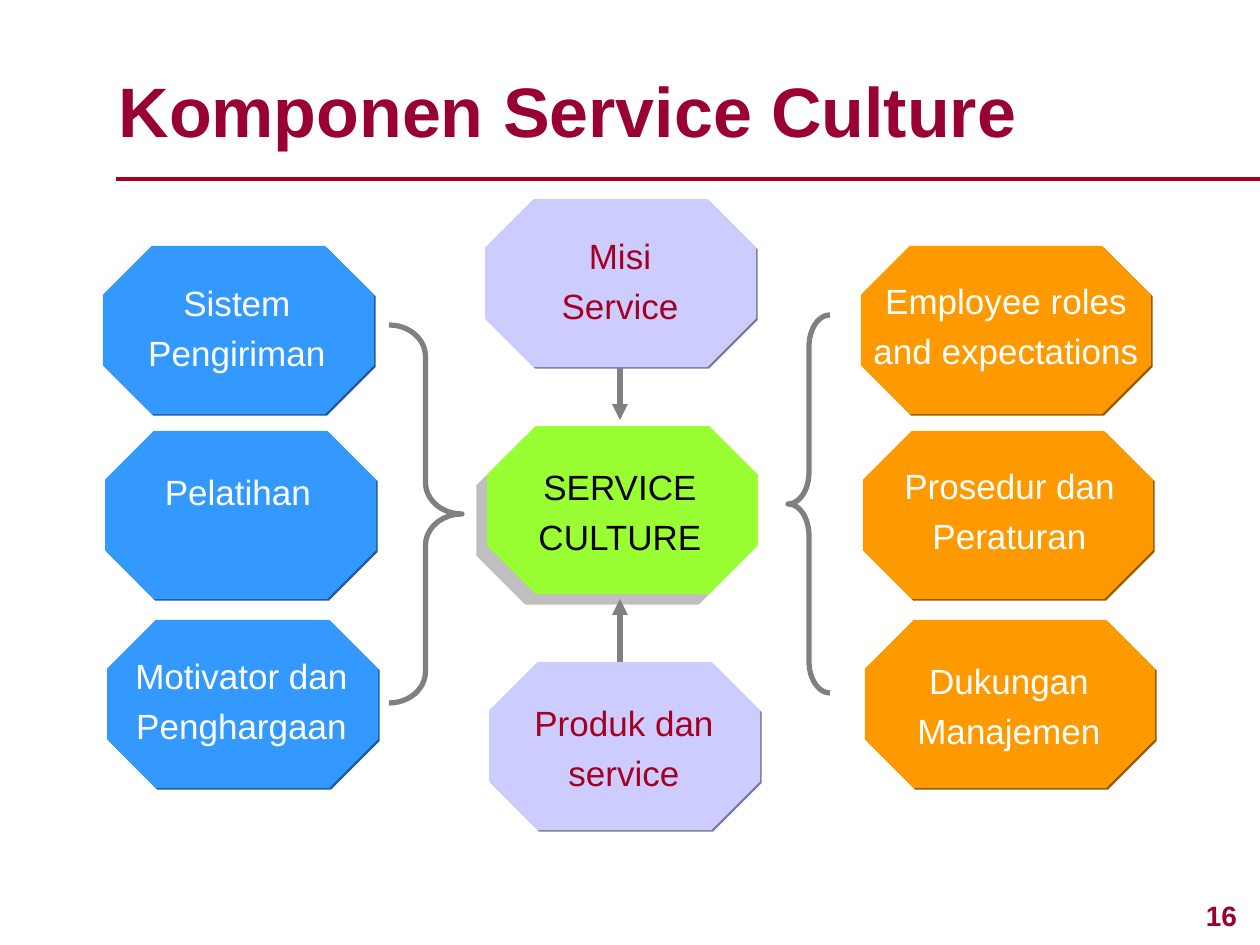
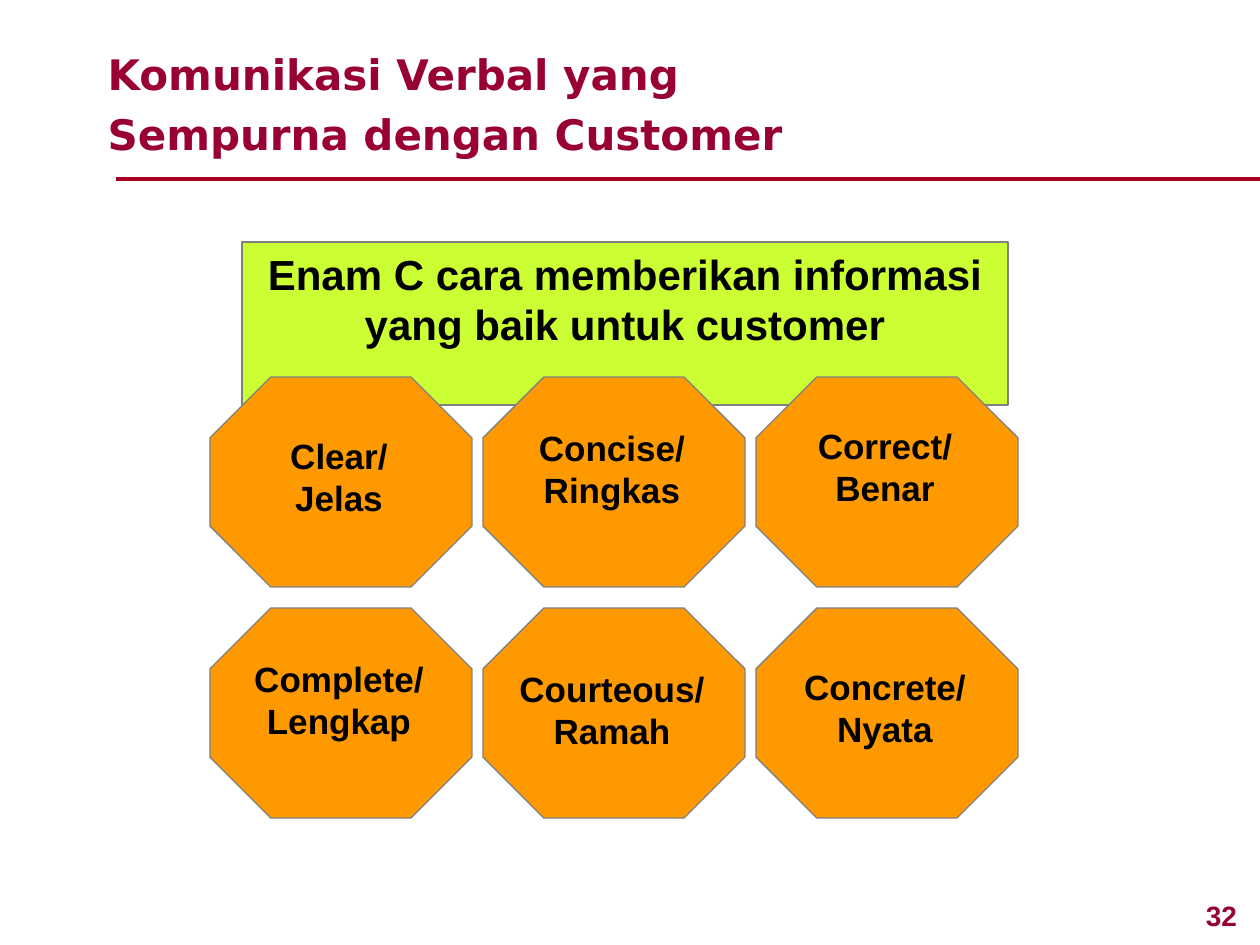
from lxml.etree import SubElement
from pptx import Presentation
from pptx.dml.color import RGBColor
from pptx.enum.shapes import MSO_CONNECTOR, MSO_SHAPE
from pptx.enum.text import MSO_ANCHOR, MSO_AUTO_SIZE, PP_ALIGN
from pptx.oxml.ns import qn
from pptx.util import Pt

EMU_PER_PX = 914400 / 126
SLIDE_WIDTH, SLIDE_HEIGHT = 1260, 945

MAROON = RGBColor(0x99, 0x00, 0x33)
CRIMSON = RGBColor(0xA5, 0x00, 0x21)
BLUE = RGBColor(0x33, 0x99, 0xFF)
DARK_BLUE = RGBColor(0x1F, 0x5C, 0x99)
ORANGE = RGBColor(0xFF, 0x99, 0x00)
DARK_ORANGE = RGBColor(0x99, 0x5C, 0x00)
LILAC = RGBColor(0xCC, 0xCC, 0xFF)
DARK_LILAC = RGBColor(0x7A, 0x7A, 0x99)
GREEN = RGBColor(0x99, 0xFF, 0x33)
LIME = RGBColor(0xCC, 0xFF, 0x33)
GRAY = RGBColor(0x80, 0x80, 0x80)
WHITE = RGBColor(0xFF, 0xFF, 0xFF)
BLACK = RGBColor(0x00, 0x00, 0x00)

BODY_FONT = "Arial"
OCTAGON_CUT = 0.29

# Shadows: colour, opacity in percent, distance in points, direction in degrees
BLUE_EDGE = (DARK_BLUE, 100, 1.4, 45)
ORANGE_EDGE = (DARK_ORANGE, 100, 1.4, 45)
LILAC_EDGE = (DARK_LILAC, 100, 1.4, 45)
CORE_SHADOW = (GRAY, 50, 8.5, 135)

# Columns: left, octagon width, text colour, then rows of
# (octagon top, fill, shadow, text, label left, label top, label width)
COMPONENT_HEIGHT = 168
COLUMN_DRIFT = 2
COMPONENT_COLUMNS = [
    (103, 271, WHITE, [
        (246, BLUE, BLUE_EDGE, "Sistem Pengiriman", 116, 267, 242),
        (431, BLUE, BLUE_EDGE, "Pelatihan", 132, 456, 212),
        (620, BLUE, BLUE_EDGE, "Motivator dan Penghargaan", 105, 640, 273),
    ]),
    (861, 290, WHITE, [
        (246, ORANGE, ORANGE_EDGE, "Employee roles and expectations", 859, 265, 294),
        (431, ORANGE, ORANGE_EDGE, "Prosedur dan Peraturan", 879, 450, 261),
        (620, ORANGE, ORANGE_EDGE, "Dukungan Manajemen", 863, 645, 292),
    ]),
    (485, 271, CRIMSON, [
        (199, LILAC, LILAC_EDGE, "Misi Service", 514, 220, 212),
        (426, GREEN, CORE_SHADOW, "SERVICE CULTURE", 514, 451, 212),
        (662, LILAC, LILAC_EDGE, "Produk dan service", 498, 687, 252),
    ]),
]
# Braces: shape, box, curve height as a share of the brace width
BRACES = [
    (MSO_SHAPE.RIGHT_BRACE, (389, 325, 73, 378), 0.43),
    (MSO_SHAPE.LEFT_BRACE, (788, 315, 42, 378), 0.75),
]
ARROW_X = 620
ARROWS = [(662, 599), (368, 420)]

BANNER = "Enam C cara memberikan informasi yang baik untuk customer"
BANNER_BOX = (242, 242, 766, 163)
GRID_LEFT, GRID_TOP, STEP_X, STEP_Y = 210, 377, 273, 231
CELL_WIDTH, CELL_HEIGHT = 262, 210
# Each row: two lines of text and the label top
SIX_C = [
    [("Clear/\nJelas", 428), ("Concise/\nRingkas", 420), ("Correct/\nBenar", 418)],
    [("Complete/\nLengkap", 651), ("Courteous/\nRamah", 661), ("Concrete/\nNyata", 659)],
]


def px(*lengths):
    return [round(length * EMU_PER_PX) for length in lengths]


def write(shape, text, size, color, bold=False, align=PP_ALIGN.CENTER,
          font=BODY_FONT, spacing=1.0):
    frame = shape.text_frame
    frame.text = text
    frame.word_wrap = True
    frame.auto_size = MSO_AUTO_SIZE.NONE
    frame.vertical_anchor = MSO_ANCHOR.TOP
    for para in frame.paragraphs:
        para.alignment = align
        para.line_spacing = spacing
        for span in para.runs:
            span.font.name = font
            span.font.size = Pt(size)
            span.font.bold = bold
            span.font.color.rgb = color


def add_label(page, box, text, size, color, **style):
    write(page.shapes.add_textbox(*px(*box)), text, size, color, **style)


def add_filled(page, kind, box, fill, line=None):
    shape = page.shapes.add_shape(kind, *px(*box))
    shape.shadow.inherit = False
    shape.fill.solid()
    shape.fill.fore_color.rgb = fill
    if line is None:
        shape.line.fill.background()
    else:
        shape.line.color.rgb = line
        shape.line.width = Pt(0.75)
    return shape


def add_octagon(page, box, fill, line=None, shadow=None):
    octagon = add_filled(page, MSO_SHAPE.OCTAGON, box, fill, line)
    octagon.adjustments[0] = OCTAGON_CUT
    if shadow:
        color, opacity, distance, direction = shadow
        effects = octagon._element.spPr.find(qn("a:effectLst"))
        outer = SubElement(effects, qn("a:outerShdw"), dist=str(Pt(distance)),
                           dir=str(direction * 60000), algn="ctr", rotWithShape="0")
        tint = SubElement(outer, qn("a:srgbClr"), val=str(color))
        SubElement(tint, qn("a:alpha"), val=str(opacity * 1000))


def add_line(page, start, end, color, width, arrow=False):
    line = page.shapes.add_connector(MSO_CONNECTOR.STRAIGHT, *px(*start, *end))
    line.line.color.rgb = color
    line.line.width = Pt(width)
    if arrow:
        SubElement(line.line._get_or_add_ln(), qn("a:tailEnd"), type="triangle")
    SubElement(line._element.spPr, qn("a:effectLst"))


def add_page(deck, title, title_box, number, **title_style):
    """Add a slide with its title, the rule below it and the page number."""
    page = deck.slides.add_slide(deck.slide_layouts[5])
    heading = page.shapes.title
    heading.left, heading.top, heading.width, heading.height = px(*title_box)
    write(heading, title, color=MAROON, bold=True, align=PP_ALIGN.LEFT, **title_style)
    add_line(page, (116, 179), (SLIDE_WIDTH, 179), CRIMSON, 2.25)
    add_label(page, (1183, 892, 77, 47), str(number), 16, MAROON, bold=True)
    return page


def build_components(deck):
    page = add_page(deck, "Komponen Service Culture", (106, 61, 1000, 97), 16, size=40)
    for left, width, color, rows in COMPONENT_COLUMNS:
        for index, (top, fill, shadow, text, *label_box) in enumerate(rows):
            box = (left + index * COLUMN_DRIFT, top, width, COMPONENT_HEIGHT)
            add_octagon(page, box, fill, shadow=shadow)
            add_label(page, (*label_box, 113), text, 20,
                      BLACK if fill == GREEN else color, spacing=1.2)
    for kind, box, curve in BRACES:
        brace = page.shapes.add_shape(kind, *px(*box))
        brace.shadow.inherit = False
        brace.adjustments[0] = curve
        brace.fill.background()
        brace.line.color.rgb = GRAY
        brace.line.width = Pt(3)
    for start, end in ARROWS:
        add_line(page, (ARROW_X, start), (ARROW_X, end), GRAY, 3, arrow=True)


def build_six_c(deck):
    page = add_page(deck, "Komunikasi Verbal yang Sempurna dengan Customer",
                    (95, 32, 850, 134), 32, size=24, font="DejaVu Sans", spacing=1.2)
    banner = add_filled(page, MSO_SHAPE.RECTANGLE, BANNER_BOX, LIME, GRAY)
    write(banner, BANNER, 24, BLACK, bold=True)
    for row, cells in enumerate(SIX_C):
        for column, (text, label_top) in enumerate(cells):
            left, top = GRID_LEFT + column * STEP_X, GRID_TOP + row * STEP_Y
            add_octagon(page, (left, top, CELL_WIDTH, CELL_HEIGHT), ORANGE, GRAY)
            add_label(page, (left - 2, label_top, CELL_WIDTH, 97), text, 20, BLACK, bold=True)


def main():
    deck = Presentation()
    deck.slide_width, deck.slide_height = px(SLIDE_WIDTH, SLIDE_HEIGHT)
    build_components(deck)
    build_six_c(deck)
    deck.save("out.pptx")


if __name__ == "__main__":
    main()
